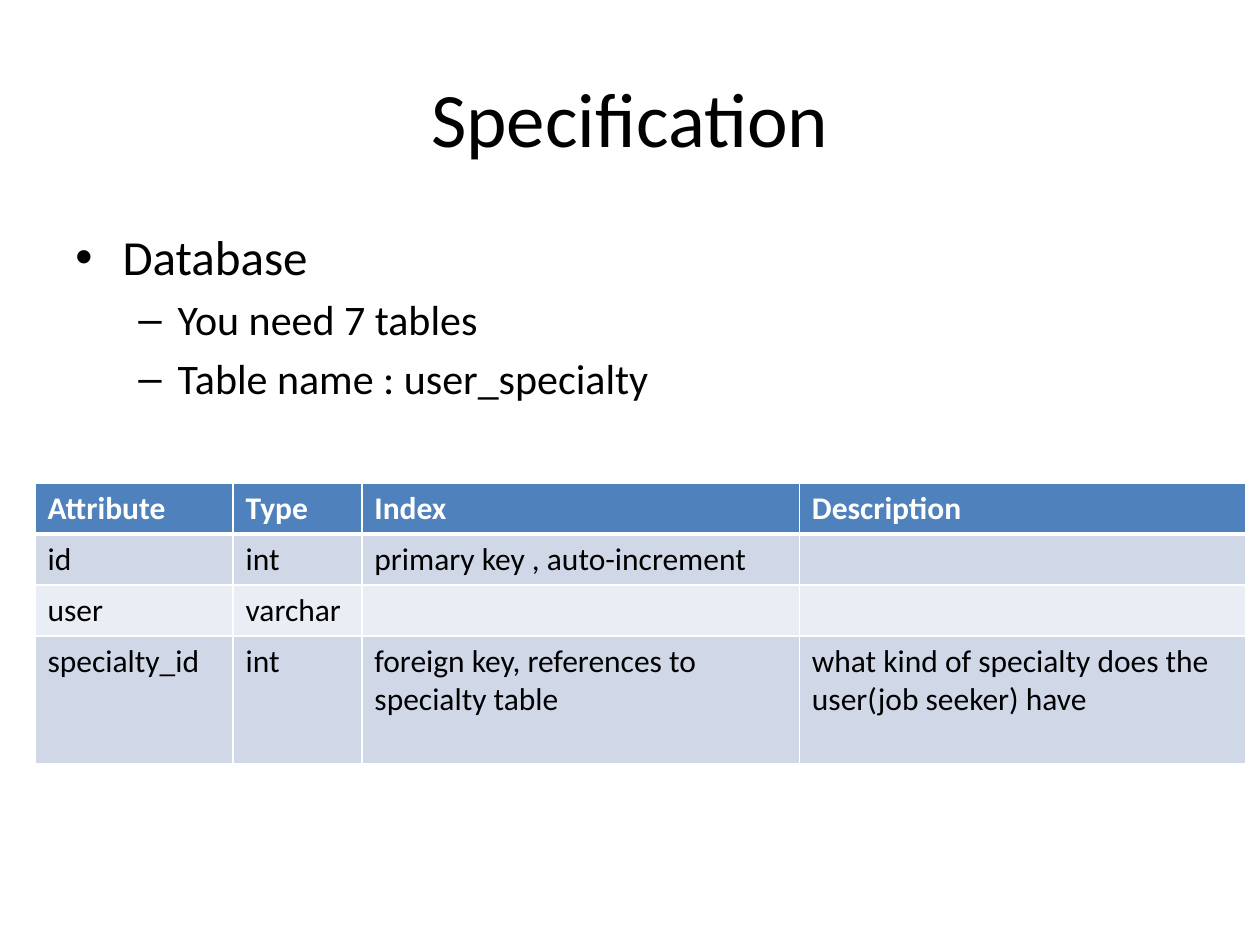
"""Build the Specification slide with the user_specialty table."""
from lxml.etree import SubElement
from pptx import Presentation
from pptx.dml.color import RGBColor
from pptx.enum.text import MSO_ANCHOR, PP_ALIGN
from pptx.oxml.ns import qn
from pptx.util import Pt


def color(value):
    return RGBColor.from_string(value)


def style(paragraph, size, ink="000000", bold=False):
    text_format = {"name": "Calibri", "size": Pt(size), "bold": bold}
    for font in [paragraph.font] + [run.font for run in paragraph.runs]:
        for key, value in text_format.items():
            setattr(font, key, value)
        font.color.rgb = color(ink)


presentation = Presentation()
presentation.slide_width, presentation.slide_height = Pt(720), Pt(540)
slide = presentation.slides.add_slide(presentation.slide_layouts[6])

title = slide.shapes.add_textbox(Pt(36), Pt(21.6), Pt(648), Pt(90)).text_frame
for key, value in {"word_wrap": True, "vertical_anchor": MSO_ANCHOR.MIDDLE, "text": "Specification"}.items():
    setattr(title, key, value)
title.paragraphs[0].alignment = PP_ALIGN.CENTER
style(title.paragraphs[0], 44)

outline = [
    ("Database", 0, 28, "•", 27, -27, 0),
    ("You need 7 tables", 1, 24, "–", 58.5, -22.5, 4.8),
    ("Table name : user_specialty", 1, 24, "–", 58.5, -22.5, 4.8),
]
body = slide.shapes.add_textbox(Pt(36), Pt(126), Pt(648), Pt(356.4)).text_frame
body.word_wrap = True
for index, (words, level, size, bullet, margin, indent, gap) in enumerate(outline):
    point = body.add_paragraph() if index else body.paragraphs[0]
    for key, value in {"text": words, "level": level, "space_before": Pt(gap)}.items():
        setattr(point, key, value)
    properties = point._p.get_or_add_pPr()
    properties.set("marL", str(Pt(margin)))
    properties.set("indent", str(Pt(indent)))
    SubElement(properties, qn("a:buFont"), typeface="Arial")
    SubElement(properties, qn("a:buChar"), char=bullet)
    style(point, size)

attributes = [
    ("Attribute", "Type", "Index", "Description"),
    ("id", "int", "primary key , auto-increment", ""),
    ("user", "varchar", "", ""),
    ("specialty_id", "int", "foreign key, references to specialty table",
     "what kind of specialty does the user(job seeker) have"),
]
column_widths = [113.2, 73.6, 250, 255]
row_heights = [29.2, 29.2, 29.2, 72.8]
row_fills = ["4F81BD", "D0D8E8", "E9EDF4", "D0D8E8"]
schema = slide.shapes.add_table(
    len(row_heights), len(column_widths), Pt(20), Pt(275.9),
    Pt(sum(column_widths)), Pt(sum(row_heights))).table
for column, width in zip(schema.columns, column_widths):
    column.width = Pt(width)
for row_index, (row, height) in enumerate(zip(schema.rows, row_heights)):
    row.height = Pt(height)
    is_header = row_index == 0
    borders = {"a:lnL": 1, "a:lnR": 1, "a:lnT": 3 if row_index == 1 else 1, "a:lnB": 3 if is_header else 1}
    for cell, words in zip(row.cells, attributes[row_index]):
        cell.text = words
        style(cell.text_frame.paragraphs[0], 18, "FFFFFF" if is_header else "000000", is_header)
        for side, weight in borders.items():
            line = SubElement(cell._tc.get_or_add_tcPr(), qn(side), w=str(Pt(weight)))
            SubElement(SubElement(line, qn("a:solidFill")), qn("a:srgbClr"), val="FFFFFF")
        cell.fill.solid()
        cell.fill.fore_color.rgb = color(row_fills[row_index])

presentation.save("out.pptx")
